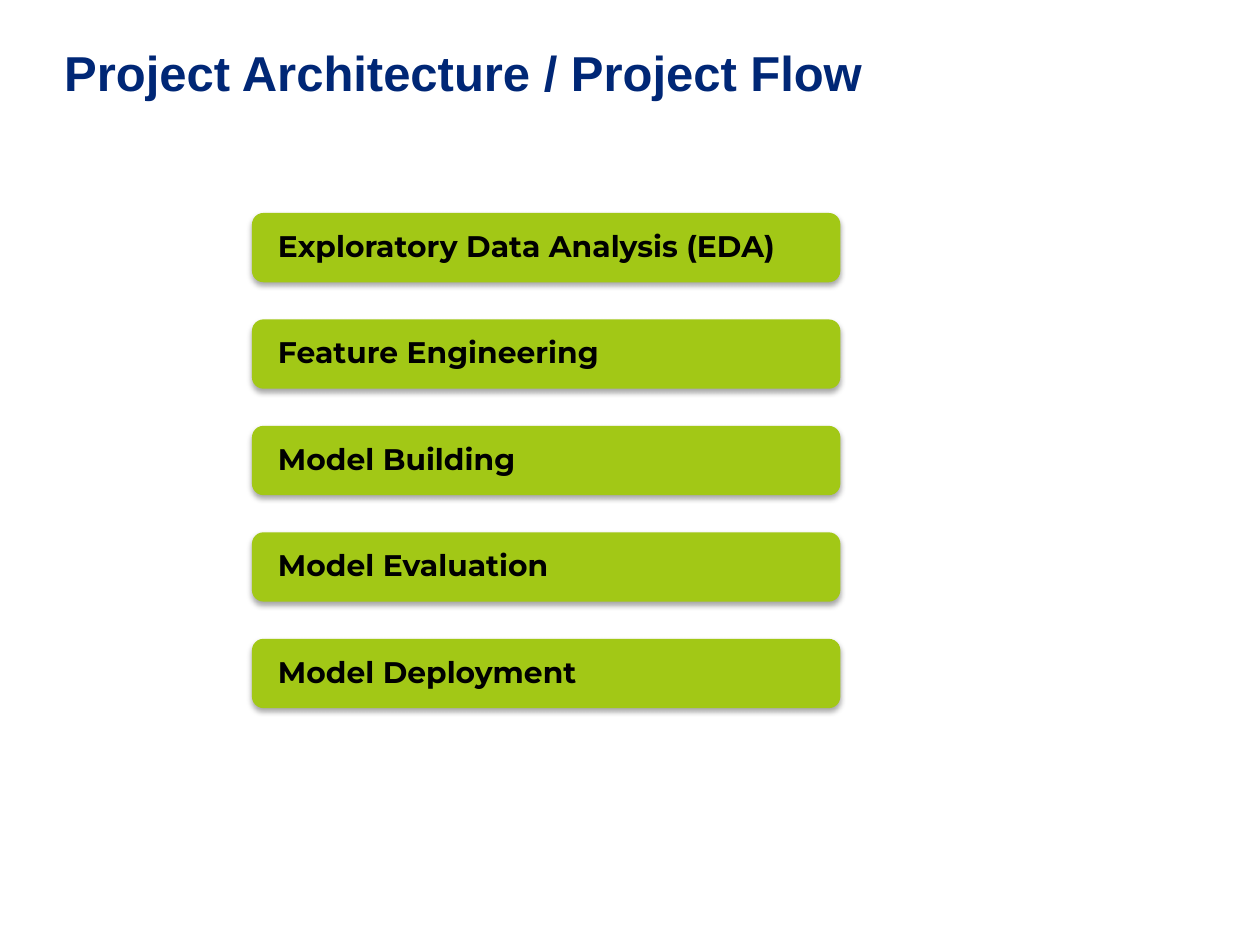
"""Build the project flow slide with its column of stage bars."""
from dataclasses import dataclass

from lxml import etree
from pptx import Presentation
from pptx.dml.color import RGBColor
from pptx.enum.shapes import MSO_SHAPE
from pptx.enum.text import MSO_ANCHOR, MSO_AUTO_SIZE, PP_ALIGN
from pptx.oxml.ns import qn
from pptx.shapes.autoshape import Shape
from pptx.slide import Slide
from pptx.util import Inches, Pt

ROUNDED = MSO_SHAPE.ROUNDED_RECTANGLE
TOP, MIDDLE = MSO_ANCHOR.TOP, MSO_ANCHOR.MIDDLE
FIT_SHAPE = MSO_AUTO_SIZE.SHAPE_TO_FIT_TEXT
LEFT = PP_ALIGN.LEFT

NAVY = RGBColor(0x00, 0x27, 0x76)
GREEN = RGBColor(0xA2, 0xC8, 0x16)
BLACK = RGBColor(0x00, 0x00, 0x00)

TITLE = "Project Architecture / Project Flow"
STAGE_NAMES = (
    "Exploratory Data Analysis (EDA)",
    "Feature Engineering",
    "Model Building",
    "Model Evaluation",
    "Model Deployment",
)
FIRST_TOP, LAST_TOP = 1.69, 5.07
TITLE_ONLY_LAYOUT = 5


@dataclass(frozen=True)
class Stage:
    """One named step of the flow and its top edge in inches."""

    name: str
    top: float


def write_line(shape: Shape, text: str, font_name: str, size: float, color: RGBColor) -> None:
    """Write one bold, left-aligned run into the shape."""
    paragraph = shape.text_frame.paragraphs[0]
    paragraph.alignment = LEFT
    run = paragraph.add_run()
    run.text = text
    run.font.name = font_name
    run.font.size = Pt(size)
    run.font.bold = True
    run.font.color.rgb = color


def add_soft_shadow(shape: Shape) -> None:
    """Give the shape a faint shadow straight below it."""
    shape.shadow.inherit = False
    effects = shape._element.spPr.find(qn("a:effectLst"))
    shadow = etree.SubElement(
        effects,
        qn("a:outerShdw"),
        blurRad=str(Pt(3.1)),
        dist=str(Pt(1.8)),
        dir="5400000",
        rotWithShape="0",
    )
    color = etree.SubElement(shadow, qn("a:srgbClr"), val=str(BLACK))
    etree.SubElement(color, qn("a:alpha"), val="35000")


def add_title(slide: Slide) -> None:
    """Place and format the title placeholder."""
    title = slide.shapes.title
    title.left, title.top = Inches(0.41), Inches(0.29)
    title.width, title.height = Inches(6.71), Inches(0.57)
    title.text_frame.vertical_anchor = TOP
    title.text_frame.auto_size = FIT_SHAPE
    write_line(title, TITLE, "Arial", 28, NAVY)


def add_stage(slide: Slide, stage: Stage) -> None:
    """Draw one stage bar with its name."""
    bar = slide.shapes.add_shape(
        ROUNDED, Inches(2), Inches(stage.top), Inches(4.67), Inches(0.55)
    )
    bar.fill.solid()
    bar.fill.fore_color.rgb = GREEN
    bar.line.fill.background()
    add_soft_shadow(bar)
    frame = bar.text_frame
    frame.word_wrap = True
    frame.vertical_anchor = MIDDLE
    frame.margin_left = frame.margin_right = Inches(0.18)
    frame.margin_top = frame.margin_bottom = 0
    frame.paragraphs[0].line_spacing = 0.9
    write_line(bar, stage.name, "Montserrat", 17, BLACK)


def main() -> None:
    """Build and save the presentation."""
    presentation = Presentation()
    presentation.slide_width, presentation.slide_height = Inches(10), Inches(7.5)
    slide = presentation.slides.add_slide(presentation.slide_layouts[TITLE_ONLY_LAYOUT])
    add_title(slide)
    step = (LAST_TOP - FIRST_TOP) / (len(STAGE_NAMES) - 1)
    for index, name in enumerate(STAGE_NAMES):
        add_stage(slide, Stage(name, FIRST_TOP + index * step))
    presentation.save("out.pptx")


if __name__ == "__main__":
    main()
